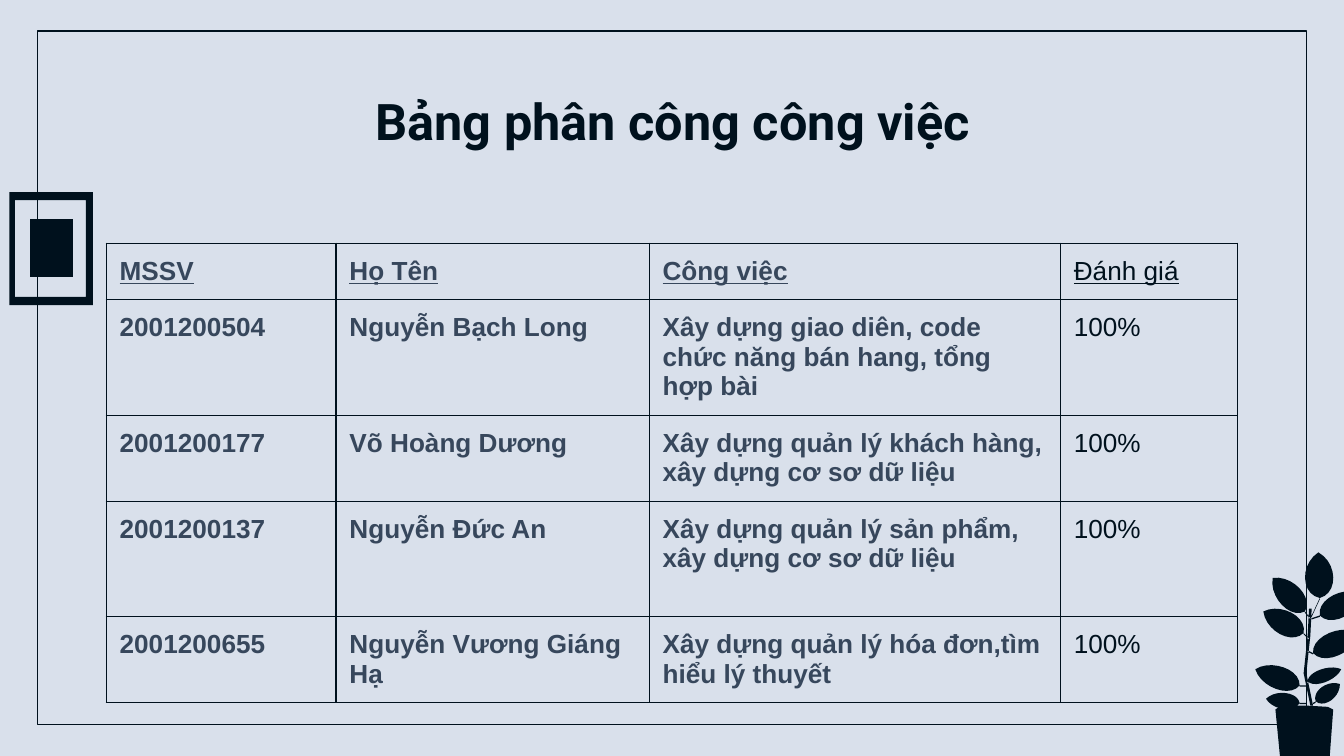
from math import hypot

from lxml.etree import SubElement
from pptx import Presentation
from pptx.dml.color import RGBColor
from pptx.enum.shapes import MSO_SHAPE as Preset
from pptx.enum.text import MSO_ANCHOR as Anchor, PP_ALIGN as Align
from pptx.oxml.ns import qn
from pptx.util import Inches, Pt

WIDTH, HEIGHT = 10, 5.625
BACKGROUND, DARK, SLATE = "D9E0EB", "00111D", "37475C"
TITLE_FORMAT = {"name": "Roboto", "size": Pt(27), "bold": True}

COLUMNS = [1.71, 2.33, 3.06, 1.32]
ROWS = [0.42, 0.86, 0.64, 0.86, 0.64]
TASKS = [
    ("MSSV", "Họ Tên", "Công việc", "Đánh giá"),
    ("2001200504", "Nguyễn Bạch Long",
     "Xây dựng giao diên, code chức năng bán hang, tổng hợp bài", "100%"),
    ("2001200177", "Võ Hoàng Dương",
     "Xây dựng quản lý khách hàng, xây dựng cơ sơ dữ liệu", "100%"),
    ("2001200137", "Nguyễn Đức An",
     "Xây dựng quản lý sản phẩm, xây dựng cơ sơ dữ liệu", "100%"),
    ("2001200655", "Nguyễn Vương Giáng Hạ",
     "Xây dựng quản lý hóa đơn,tìm hiểu lý thuyết", "100%"),
]

# Each leaf: base, tip, breadth, and the point where its stalk meets the stem
LEAVES = [
    ((9.82, 4.45), (9.81, 4.11), 0.21, (9.76, 4.58)),
    ((9.71, 4.55), (9.47, 4.3), 0.18, (9.75, 4.6)),
    ((9.7, 4.71), (9.4, 4.55), 0.18, (9.74, 4.75)),
    ((9.67, 5.1), (9.34, 4.98), 0.17, (9.72, 5.1)),
    ((9.67, 5.23), (9.42, 5.2), 0.12, (9.72, 5.23)),
    ((9.82, 4.58), (10.14, 4.42), 0.18, (9.76, 4.6)),
    ((9.77, 4.86), (10.12, 4.71), 0.18, (9.73, 4.84)),
    ((9.73, 5.07), (9.98, 4.98), 0.1, (9.72, 5.08)),
    ((9.79, 5.22), (9.97, 5.09), 0.12, (9.77, 5.23)),
]
STEM = [(9.74, 4.53), (9.76, 4.53), (9.75, 4.73), (9.72, 5.01),
        (9.77, 5.25), (9.75, 5.25), (9.7, 5.01), (9.73, 4.73)]
POT = [(9.49, 5.28), (9.53, 5.25), (9.71, 5.25), (9.88, 5.26), (9.92, 5.28),
       (9.89, 5.69), (9.8, 5.71), (9.71, 5.72), (9.62, 5.71), (9.53, 5.69)]


def color(hex_value):
    return RGBColor.from_string(hex_value)


def format_font(font, values, hex_value):
    for name, value in values.items():
        setattr(font, name, value)
    font.color.rgb = color(hex_value)


def rectangle(left, top, right, bottom):
    return [(left, top), (left, bottom), (right, bottom), (right, top)]


def bezier(p0, p1, p2, p3, steps=10):
    """Points along a cubic curve, without its last point."""
    for step in range(steps):
        t = step / steps
        weights = ((1 - t) ** 3, 3 * t * (1 - t) ** 2, 3 * t * t * (1 - t), t ** 3)
        yield tuple(sum(w * p[axis] for w, p in zip(weights, (p0, p1, p2, p3)))
                    for axis in (0, 1))


def leaf(base, tip, breadth):
    dx, dy = tip[0] - base[0], tip[1] - base[1]
    reach = breadth / 1.5 / hypot(dx, dy)

    def control(along, side):
        return (base[0] + along * dx - side * reach * dy,
                base[1] + along * dy + side * reach * dx)

    return [*bezier(base, control(0.1, 1), control(0.75, 1), tip),
            *bezier(tip, control(0.75, -1), control(0.1, -1), base)]


def stalk(start, end, thickness=0.01):
    return [start, end, (end[0], end[1] + thickness), (start[0], start[1] + thickness)]


def add_outline(slide, contours):
    """One dark freeform made of closed contours given in inches."""
    contours = [[(Inches(x), Inches(y)) for x, y in points] for points in contours]
    builder = slide.shapes.build_freeform(*contours[0][0])
    for index, points in enumerate(contours):
        if index:
            builder.move_to(*points[0])
        builder.add_line_segments(points[1:], close=True)
    shape = builder.convert_to_shape()
    shape.shadow.inherit = False
    shape.fill.solid()
    shape.fill.fore_color.rgb = color(DARK)
    shape.line.fill.background()


def add_frame(slide):
    shape = slide.shapes.add_shape(Preset.ROUND_1_RECTANGLE, Inches(0.28),
                                   Inches(0.23), Inches(9.44), Inches(5.16))
    shape.adjustments[0] = 0
    shape.shadow.inherit = False
    shape.fill.background()
    shape.line.color.rgb = color(DARK)
    shape.line.width = Pt(0.75)


def add_title(slide, text):
    title = slide.shapes.title
    title.left, title.top = Inches(0.79), Inches(0.58)
    title.width, title.height = Inches(8.43), Inches(0.63)
    text_frame = title.text_frame
    text_frame.text = text
    text_frame.vertical_anchor = Anchor.MIDDLE
    for side in ("left", "right", "top", "bottom"):
        setattr(text_frame, f"margin_{side}", Inches(0.1))
    paragraph = text_frame.paragraphs[0]
    paragraph.alignment = Align.CENTER
    format_font(paragraph.runs[0].font, TITLE_FORMAT, DARK)


def add_borders(cell):
    properties = cell._tc.get_or_add_tcPr()
    for side in ("lnL", "lnR", "lnT", "lnB"):
        line = SubElement(properties, qn(f"a:{side}"), w=str(Pt(0.75)))
        fill = SubElement(line, qn("a:solidFill"))
        SubElement(fill, qn("a:srgbClr"), val=DARK)


def fill_cell(cell, text, is_header, is_rating):
    add_borders(cell)
    cell.fill.background()
    for side in ("left", "right", "top", "bottom"):
        setattr(cell, f"margin_{side}", Inches(0.1))
    cell.text = text
    values = {"name": "Arial", "size": Pt(14), "bold": not is_rating,
              "underline": is_header}
    format_font(cell.text_frame.paragraphs[0].runs[0].font, values,
                DARK if is_rating else SLATE)


def add_task_table(slide):
    table = slide.shapes.add_table(
        len(ROWS), len(COLUMNS), Inches(0.79), Inches(1.81),
        Inches(sum(COLUMNS)), Inches(sum(ROWS))).table
    table.first_row = table.horz_banding = False
    for column, width in zip(table.columns, COLUMNS):
        column.width = Inches(width)
    for row, height in zip(table.rows, ROWS):
        row.height = Inches(height)
    for r, texts in enumerate(TASKS):
        for c, text in enumerate(texts):
            fill_cell(table.cell(r, c), text, r == 0, c == len(COLUMNS) - 1)


def main():
    presentation = Presentation()
    presentation.slide_width = Inches(WIDTH)
    presentation.slide_height = Inches(HEIGHT)
    slide = presentation.slides.add_slide(presentation.slide_layouts[5])
    slide.background.fill.solid()
    slide.background.fill.fore_color.rgb = color(BACKGROUND)

    # Border and window ornament
    add_frame(slide)
    add_outline(slide, [rectangle(0.07, 1.43, 0.69, 2.27),
                        rectangle(0.11, 1.49, 0.64, 2.21)[::-1]])
    add_outline(slide, [rectangle(0.22, 1.63, 0.54, 2.06)])

    # Potted plant
    leaves = [leaf(base, tip, breadth) for base, tip, breadth, _ in LEAVES]
    stalks = [stalk(base, joint) for base, _, _, joint in LEAVES]
    add_outline(slide, [STEM, *leaves, *stalks])
    add_outline(slide, [POT])

    # Content
    add_title(slide, "Bảng phân công công việc")
    add_task_table(slide)
    presentation.save("out.pptx")


if __name__ == "__main__":
    main()
